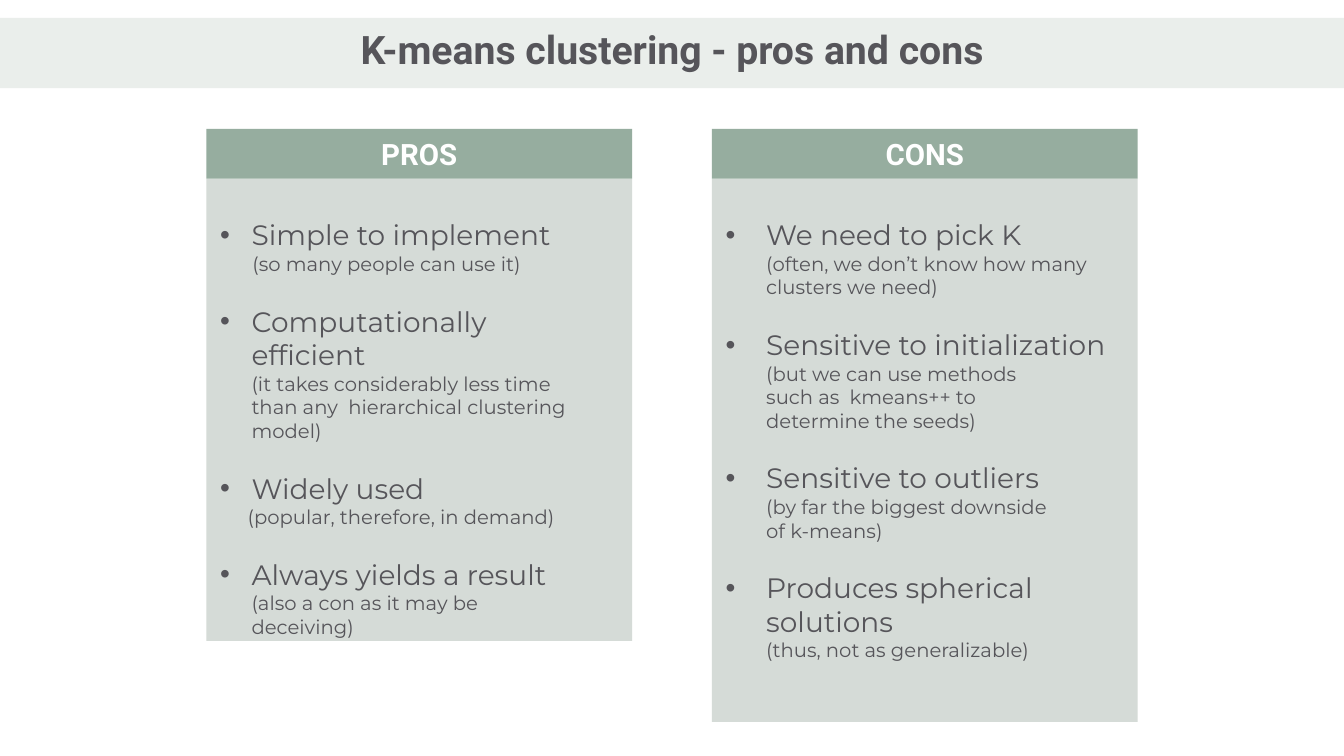
import pptx
import pptx.dml.color
import pptx.enum.shapes
import pptx.enum.text
import pptx.oxml
import pptx.oxml.ns
import pptx.util

Cm, Pt = pptx.util.Cm, pptx.util.Pt
ALIGN = pptx.enum.text.PP_ALIGN
COLOURS = {"banner": "EAEEEB", "header": "96AD9F", "panel": "D5DBD7",
           "ink": "56555A", "white": "FFFFFF"}
HEADER_HEIGHT = 1.25

# Each point: heading, note, note indent (cm), note right margin (cm)
PROS = [
    ("Simple to implement", "(so many people can use it)", 0.81, 0),
    ("Computationally efficient",
     "(it takes considerably less time than any  hierarchical clustering model)", 0.79, 0),
    ("Widely used", "(popular, therefore, in demand)", 0.69, 0),
    ("Always yields a result", "(also a con as it may be deceiving)", 0.79, 0.8),
]
CONS = [
    ("We need to pick K", "(often, we don’t know how many clusters we need)", 1.02, 0),
    ("Sensitive to initialization",
     "(but we can use methods such as  kmeans++ to determine the seeds)", 1.02, 1.4),
    ("Sensitive to outliers", "(by far the biggest downside of k-means)", 1.02, 1.4),
    ("Produces spherical solutions", "(thus, not as generalizable)", 1.02, 0),
]


def colour(name):
    return pptx.dml.color.RGBColor.from_string(COLOURS[name])


def add_block(slide, left, top, width, height, fill):
    block = slide.shapes.add_shape(pptx.enum.shapes.MSO_SHAPE.RECTANGLE,
                                   Cm(left), Cm(top), Cm(width), Cm(height))
    block.shadow.inherit = False
    block.fill.solid()
    block.fill.fore_color.rgb = colour(fill)
    block.line.fill.background()
    return block


def clear_frame(shape):
    frame = shape.text_frame
    frame.word_wrap = True
    frame.margin_left = frame.margin_top = frame.margin_right = frame.margin_bottom = 0
    return frame


def add_frame(slide, left, top, width, height):
    return clear_frame(slide.shapes.add_textbox(Cm(left), Cm(top), Cm(width), Cm(height)))


def write(paragraph, text, font, size, ink, bold=False, before=0, align=ALIGN.LEFT):
    paragraph.text = text
    paragraph.alignment = align
    paragraph.space_before = Pt(before)
    paragraph.font.name = font
    paragraph.font.size = Pt(size)
    paragraph.font.bold = bold
    paragraph.font.color.rgb = colour(ink)


def set_indent(paragraph, left, hanging=0, right=0, bullet=False):
    properties = paragraph._p.get_or_add_pPr()
    for key, value in (("marL", left), ("indent", -hanging), ("marR", right)):
        properties.set(key, str(int(Cm(value))))
    if bullet:
        namespace = pptx.oxml.ns.nsdecls("a")
        marks = (f'<a:buFont {namespace} typeface="Arial"/>', f'<a:buChar {namespace} char="•"/>')
        defaults = properties.find(pptx.oxml.ns.qn("a:defRPr"))
        for mark in marks:
            defaults.addprevious(pptx.oxml.parse_xml(mark))


def add_banner(slide, left, top, width, height):
    add_block(slide, left, top, width, height, "banner")
    title_width = 15.75
    title = add_frame(slide, left + (width - title_width) / 2, top + 0.18, title_width, 1.24)
    write(title.paragraphs[0], "K-means clustering - pros and cons", "Roboto", 28, "ink",
          bold=True, before=0.9, align=ALIGN.CENTER)


def add_panel(slide, left, top, width, height, heading, points, indent, list_width):
    # Body and header band
    add_block(slide, left, top + HEADER_HEIGHT, width, height - HEADER_HEIGHT, "panel")
    header = clear_frame(add_block(slide, left, top, width, HEADER_HEIGHT, "header"))
    header.vertical_anchor = pptx.enum.text.MSO_ANCHOR.MIDDLE
    write(header.paragraphs[0], heading, "Roboto", 21, "white", bold=True, align=ALIGN.CENTER)

    # Bulleted points, each with a smaller note beneath
    frame = add_frame(slide, left + 0.35, top + 2.24, list_width, height - 2.8)
    for number, (point, note, note_indent, note_right) in enumerate(points):
        point_line = frame.add_paragraph() if number else frame.paragraphs[0]
        write(point_line, point, "Montserrat", 20, "ink", before=20.6 if number else 1.1)
        set_indent(point_line, indent, hanging=indent, bullet=True)
        note_line = frame.add_paragraph()
        write(note_line, note, "Montserrat", 14, "ink", before=0.2)
        set_indent(note_line, note_indent, right=note_right)


presentation = pptx.Presentation()
presentation.slide_width, presentation.slide_height = Cm(33.87), Cm(19.05)
slide = presentation.slides.add_slide(presentation.slide_layouts[6])
add_banner(slide, 0, 0.45, 33.87, 1.77)
add_panel(slide, 5.2, 3.25, 10.73, 12.9, "PROS", PROS, 0.79, 9.25)
add_panel(slide, 17.94, 3.25, 10.73, 14.94, "CONS", CONS, 1.02, 9.73)
presentation.save("out.pptx")
